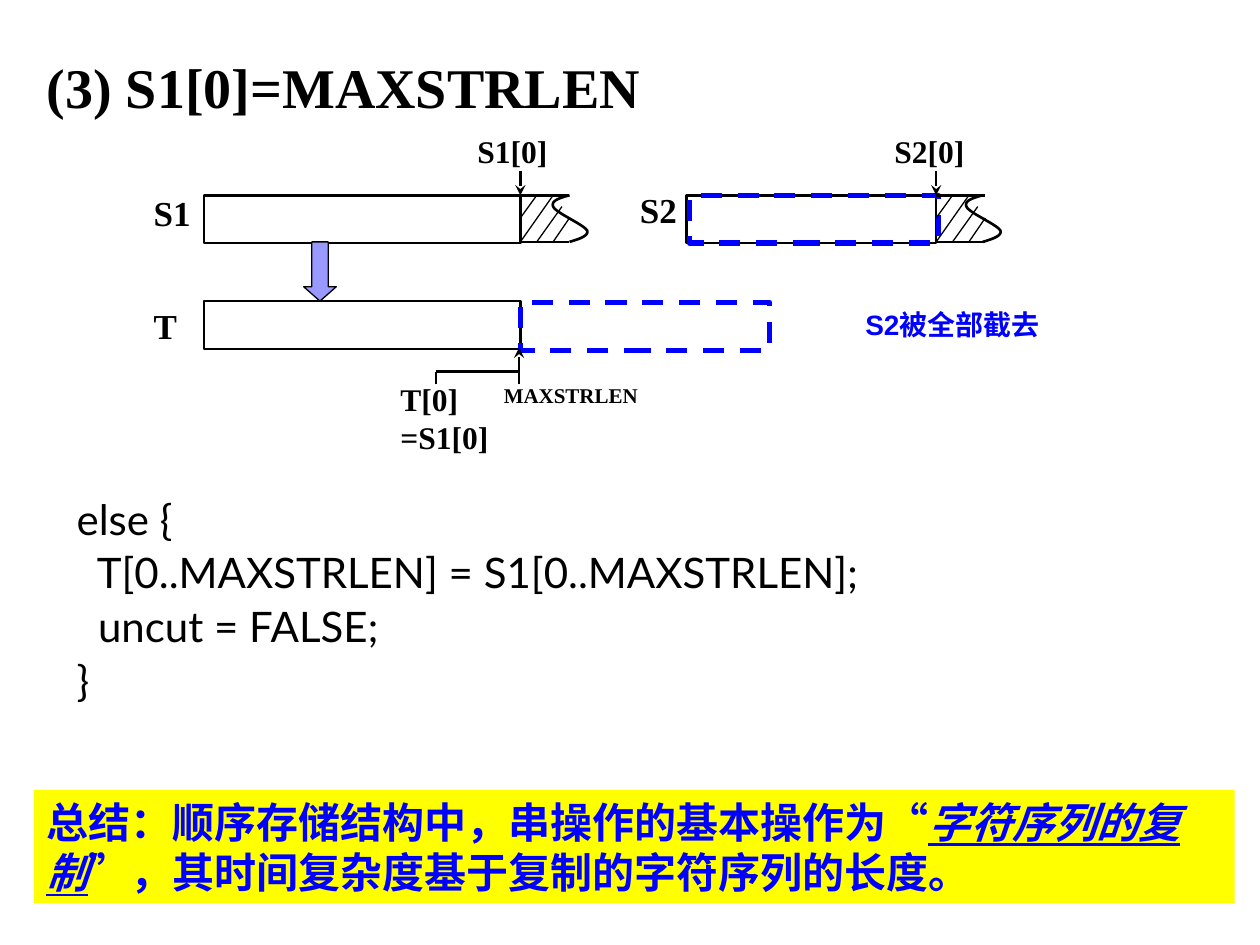
import pptx
import pptx.util
import pptx.oxml.ns
from lxml import etree
from pptx.dml.color import RGBColor
from pptx.enum.dml import MSO_LINE
from pptx.enum.shapes import MSO_CONNECTOR, MSO_SHAPE
from pptx.enum.text import MSO_ANCHOR, MSO_AUTO_SIZE, PP_ALIGN
from pptx.util import Inches, Pt

COLORS = {"ink": "000000", "blue": "0000FF", "arrow": "9999FF", "band": "FFFF00"}
SERIF = "Times New Roman"
BAR_W, BAR_H = 2.51, 0.38
S_TOP, T_TOP = 1.55, 2.39
S1_END, S2_END = 4.13, 7.43

prs = pptx.Presentation()
prs.slide_width, prs.slide_height = Inches(10), Inches(7.5)
s = prs.slides.add_slide(prs.slide_layouts[5])


def write(sp, lines, size, font=SERIF, color="ink", bold=True, wrap=False):
    """Fill a shape with left-aligned paragraphs, each given as a list of runs."""
    tf = sp.text_frame
    tf.word_wrap = wrap
    tf.auto_size = MSO_AUTO_SIZE.NONE
    tf.vertical_anchor = MSO_ANCHOR.TOP
    for i, runs in enumerate(lines):
        p = tf.add_paragraph() if i else tf.paragraphs[0]
        p.alignment = PP_ALIGN.LEFT
        p.font.name, p.font.size, p.font.bold = font, Pt(size), bold
        p.font.color.rgb = RGBColor.from_string(COLORS[color])
        for text in runs:
            p.add_run().text = text
    return tf.paragraphs


def line(x1, y1, x2, y2, width=1.5, arrow=False):
    c = s.shapes.add_connector(MSO_CONNECTOR.STRAIGHT, Inches(x1), Inches(y1), Inches(x2), Inches(y2))
    c.line.color.rgb = RGBColor.from_string(COLORS["ink"])
    c.line.width = Pt(width)
    if arrow:
        etree.SubElement(c.line._get_or_add_ln(), pptx.oxml.ns.qn("a:tailEnd"), type="stealth")
    etree.SubElement(c._element.spPr, pptx.oxml.ns.qn("a:effectLst"))


# Title
title = s.shapes.title
title.left, title.top, title.width, title.height = Inches(0.27), Inches(0.23), Inches(9.21), Inches(0.77)
write(title, [["(3) S1[0]=MAXSTRLEN"]], 32, wrap=True)[0].line_spacing = 1.25

# String bars, the copy arrow and the dashed part that is cut off
for kind, x, y, w, h, fill, color, width, dash in [
    (MSO_SHAPE.RECTANGLE, 1.62, S_TOP, BAR_W, BAR_H, None, "ink", 1.5, False),
    (MSO_SHAPE.RECTANGLE, 5.45, S_TOP, 1.98, BAR_H, None, "ink", 1.5, False),
    (MSO_SHAPE.RECTANGLE, 1.62, T_TOP, BAR_W, BAR_H, None, "ink", 1.5, False),
    (MSO_SHAPE.DOWN_ARROW, 2.41, 1.92, 0.26, 0.47, "arrow", "ink", 0.75, False),
    (MSO_SHAPE.RECTANGLE, 5.47, S_TOP, 1.98, BAR_H, None, "blue", 3, True),
    (MSO_SHAPE.RECTANGLE, S1_END, 2.4, 1.98, BAR_H, None, "blue", 3, True),
]:
    sp = s.shapes.add_shape(kind, Inches(x), Inches(y), Inches(w), Inches(h))
    sp.shadow.inherit = False
    if fill:
        sp.fill.solid()
        sp.fill.fore_color.rgb = RGBColor.from_string(COLORS[fill])
    else:
        sp.fill.background()
    sp.line.color.rgb = RGBColor.from_string(COLORS[color])
    sp.line.width = Pt(width)
    if dash:
        sp.line.dash_style = MSO_LINE.DASH
    if kind == MSO_SHAPE.DOWN_ARROW:
        sp.adjustments[1] = 0.44

# Hatched, torn end of S1 and S2, as offsets from the end of the bar
hatching = [(0.13, 0, 0, 0.18), (0.39, 0.18, 0.26, 0.37), (0.26, 0, 0, 0.37), (0.33, 0.09, 0.13, 0.37)]
tear = [  # Bezier segments, offsets from the top of the torn edge
    [(0, 0), (-0.07, 0.02), (-0.15, 0.04), (-0.13, 0.09)],
    [(-0.13, 0.09), (-0.11, 0.14), (0.11, 0.23), (0.14, 0.28)],
    [(0.14, 0.28), (0.16, 0.33), (0.03, 0.36), (0, 0.37)],
]
STEPS = 12
for end, edge in [(S1_END, 4.52), (S2_END, 7.8)]:
    for y in (S_TOP, S_TOP + 0.37):
        line(end, y, end + 0.39, y)
    for x1, y1, x2, y2 in hatching:
        line(end + x1, S_TOP + y1, end + x2, S_TOP + y2, 0.75)
    points = []
    for curve in tear:
        for k in range(1, STEPS + 1):
            t = k / STEPS
            weights = [(1 - t) ** 3, 3 * t * (1 - t) ** 2, 3 * t * t * (1 - t), t ** 3]
            dx, dy = (sum(w * pt[axis] for w, pt in zip(weights, curve)) for axis in (0, 1))
            points.append((Inches(edge + dx), Inches(S_TOP + dy)))
    builder = s.shapes.build_freeform(Inches(edge), Inches(S_TOP))
    builder.add_line_segments(points, close=False)
    sp = builder.convert_to_shape()
    sp.shadow.inherit = False
    sp.fill.background()
    sp.line.color.rgb = RGBColor.from_string(COLORS["ink"])
    sp.line.width = Pt(1.5)
    line(end, 1.36, end, S_TOP, arrow=True)

# Pointer and bracket under T
line(4.12, 3.05, 4.12, 2.76, arrow=True)
line(3.46, 3.05, 3.46, 2.95)
line(3.46, 2.95, 4.12, 2.95)

# Labels
for x, y, w, h, size, lines in [
    (3.69, 1, 0.76, 0.4, 18, ["S1[0]"]),
    (7, 1, 0.76, 0.4, 18, ["S2[0]"]),
    (1.12, 1.47, 0.49, 0.44, 20, ["S1"]),
    (4.98, 1.45, 0.49, 0.43, 20, ["S2"]),
    (1.12, 2.37, 0.39, 0.43, 20, ["T"]),
    (3.08, 2.97, 0.9, 0.7, 18, ["T[0]", "=S1[0]"]),
    (3.9, 2.99, 1.27, 0.3, 12, ["MAXSTRLEN"]),
]:
    label = s.shapes.add_textbox(Inches(x), Inches(y), Inches(w), Inches(h))
    write(label, [[text] for text in lines], size)

note = s.shapes.add_textbox(Inches(6.77), Inches(T_TOP), Inches(2.64), Inches(0.37))
write(note, [["S2被全部截去"]], 16, "Arial", "blue", wrap=True)

# Code
code = s.shapes.add_textbox(Inches(0.51), Inches(3.91), Inches(8.27), Inches(1.78))
code_lines = ["else {", "  T[0..MAXSTRLEN] = S1[0..MAXSTRLEN];", "  uncut = FALSE;", "}"]
for i, p in enumerate(write(code, [[text] for text in code_lines], 24, "Lato", bold=False, wrap=True)):
    p.line_spacing = 0.9
    if i:
        p.space_before = Pt(4.8)

# Summary
summary = s.shapes.add_shape(MSO_SHAPE.RECTANGLE, Inches(0.27), Inches(6.27), Inches(9.53), Inches(0.9))
summary.shadow.inherit = False
summary.fill.solid()
summary.fill.fore_color.rgb = RGBColor.from_string(COLORS["band"])
summary.line.fill.background()
runs = ["总结：顺序存储结构中，串操作的基本操作为“", "字符序列的复制", "”，其时间复杂度基于复制的字符序列的长度。"]
p = write(summary, [runs], 24, "Arial", "blue", wrap=True)[0]
r = p.runs[1]
r.font.italic = r.font.underline = True

prs.save("out.pptx")
